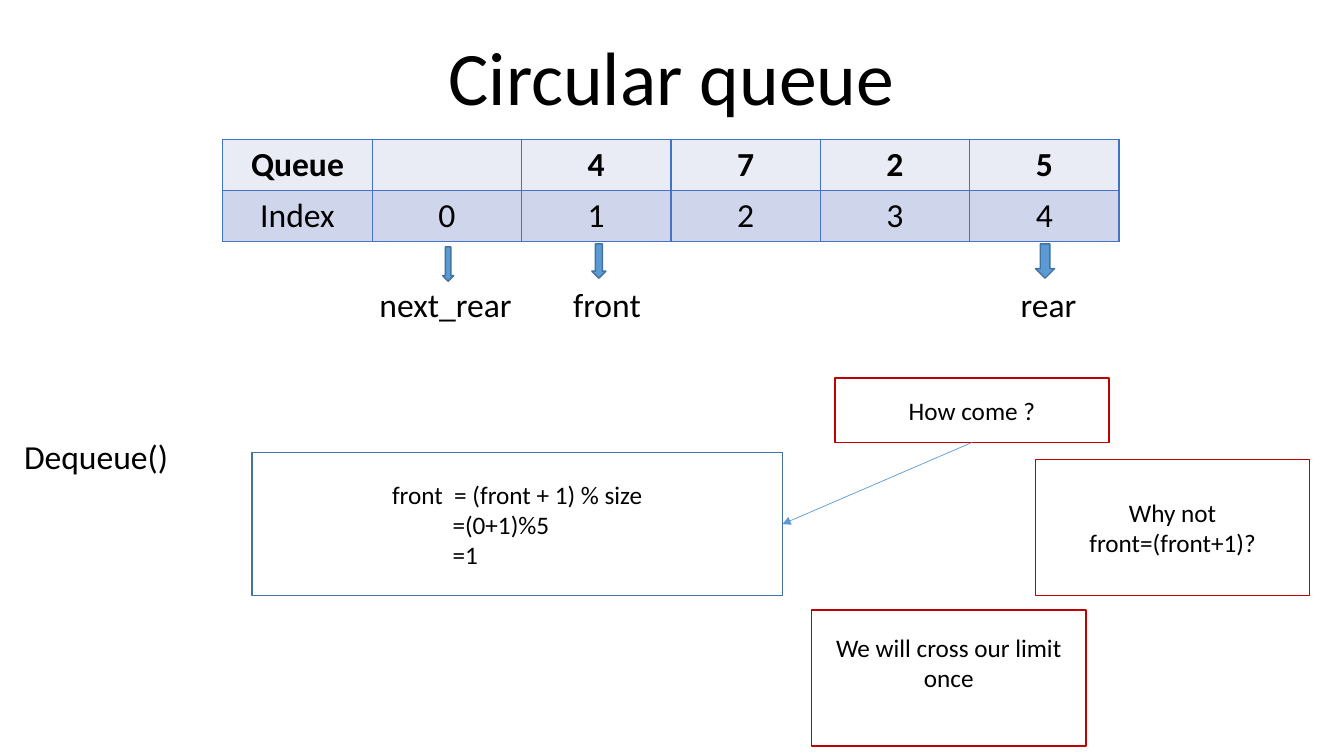
from lxml import etree
from pptx import Presentation
from pptx.dml.color import RGBColor
from pptx.enum.shapes import MSO_CONNECTOR, MSO_SHAPE
from pptx.enum.text import MSO_ANCHOR, PP_ALIGN
from pptx.oxml.ns import qn
from pptx.util import Inches, Pt

CENTER, LEFT = PP_ALIGN.CENTER, PP_ALIGN.LEFT
MIDDLE, BOTTOM = MSO_ANCHOR.MIDDLE, MSO_ANCHOR.BOTTOM
RECT, DOWN_ARROW = MSO_SHAPE.RECTANGLE, MSO_SHAPE.DOWN_ARROW
BLUE, DARK_BLUE, RED, BORDER = "5B9BD5", "43739E", "C00000", "4472C4"


def write(tf, text, size=18, bold=False, align=CENTER, anchor=MIDDLE, spacing=1.0):
    """Fill a text frame, one paragraph per line of text."""
    tf.word_wrap = True
    tf.vertical_anchor = anchor
    for i, line in enumerate(text.split("\n")):
        p = tf.add_paragraph() if i else tf.paragraphs[0]
        p.alignment, p.line_spacing = align, spacing
        r = p.add_run()
        r.text = line
        r.font.name, r.font.size, r.font.bold = "Calibri", Pt(size), bold
        r.font.color.rgb = RGBColor.from_string("000000")


def add_box(kind, x, y, w, h, fill, line):
    """Add a filled and outlined preset shape."""
    sp = s.shapes.add_shape(kind, Inches(x), Inches(y), Inches(w), Inches(h))
    sp.shadow.inherit = False
    sp.fill.solid()
    sp.fill.fore_color.rgb = RGBColor.from_string(fill)
    sp.line.color.rgb = RGBColor.from_string(line)
    sp.line.width = Pt(1)
    return sp


prs = Presentation()
prs.slide_width, prs.slide_height = Inches(13.33), Inches(7.5)
s = prs.slides.add_slide(prs.slide_layouts[5])

title = s.shapes.title
title.left, title.top, title.width, title.height = map(Inches, (1.66, 0.27, 10, 0.99))
write(title.text_frame, "Circular queue", size=54, anchor=BOTTOM, spacing=0.9)

# Queue table
rows = [["Queue", "", "4", "7", "2", "5"], ["Index", "0", "1", "2", "3", "4"]]
row_fills = ["E9EBF5", "CFD5EA"]
table = s.shapes.add_table(2, 6, Inches(2.21), Inches(1.38), Inches(8.89), Inches(1.02)).table
for i, values in enumerate(rows):
    table.rows[i].height = Inches(0.51)
    for j, value in enumerate(values):
        cell = table.cell(i, j)
        if value:
            write(cell.text_frame, value, size=24, bold=i == 0)
        tcPr = cell._tc.get_or_add_tcPr()
        for side in ("lnL", "lnR", "lnT", "lnB"):
            ln = etree.SubElement(tcPr, qn("a:" + side), w=str(Pt(1)))
            solid = etree.SubElement(ln, qn("a:solidFill"))
            etree.SubElement(solid, qn("a:srgbClr"), val=BORDER)
        cell.fill.solid()
        cell.fill.fore_color.rgb = RGBColor.from_string(row_fills[i])

# Pointers under the table: label, label centre, arrow left, top and width
pointers = [
    ("next_rear", 4.42, 4.39, 2.45, 0.11),
    ("front", 6.02, 5.87, 2.42, 0.14),
    ("rear", 10.4, 10.27, 2.42, 0.19),
]
for name, center, x, y, w in pointers:
    add_box(DOWN_ARROW, x, y, w, 0.34, BLUE, DARK_BLUE)
    label = s.shapes.add_textbox(Inches(center - 0.8), Inches(2.77), Inches(1.6), Inches(0.5))
    write(label.text_frame, name, size=24)

operation = s.shapes.add_textbox(Inches(0.14), Inches(4.27), Inches(2), Inches(0.5))
write(operation.text_frame, "Dequeue()", size=24, align=LEFT)

# Formula, with the later steps lined up under the first equals sign
formula = add_box(RECT, 2.5, 4.49, 5.26, 1.42, "FFFFFF", DARK_BLUE)
write(formula.text_frame, "front  = (front + 1) % size\n=(0+1)%5\n=1")
for p in formula.text_frame.paragraphs[1:]:
    p.alignment = LEFT
    p._p.get_or_add_pPr().set("marL", str(Inches(1.89)))

# Questions and answer
notes = [
    ("How come ?", 8.28, 3.75, 0.64, 0.05),
    ("Why not\nfront=(front+1)?", 10.27, 4.56, 1.35, 0.05),
    ("We will cross our limit once", 8.05, 6.05, 1.35, 0.35),
]
for text, x, y, h, bottom_margin in notes:
    note = add_box(RECT, x, y, 2.72, h, "FFFFFF", RED)
    note.text_frame.margin_bottom = Inches(bottom_margin)
    write(note.text_frame, text)

arrow = s.shapes.add_connector(
    MSO_CONNECTOR.STRAIGHT, Inches(9.64), Inches(4.39), Inches(7.76), Inches(5.2))
arrow.line.color.rgb = RGBColor.from_string(BLUE)
arrow.line.width = Pt(0.5)
etree.SubElement(arrow.line._get_or_add_ln(), qn("a:tailEnd"), type="triangle")
etree.SubElement(arrow._element.spPr, qn("a:effectLst"))

prs.save("out.pptx")
